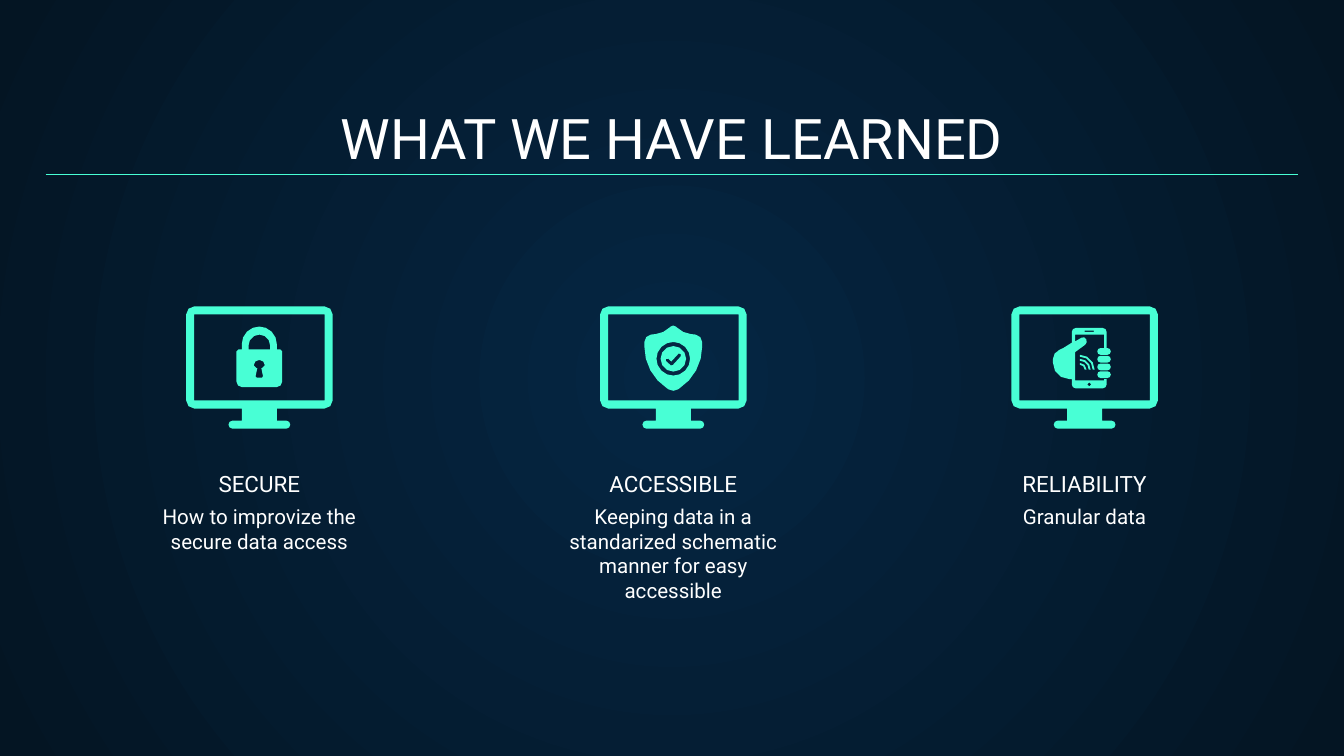
"""Build the slide that sums up three lessons on data, each under a monitor icon."""
import math
from dataclasses import dataclass

import lxml.etree
import pptx
import pptx.dml.color
import pptx.enum.shapes
import pptx.enum.text
import pptx.oxml.ns
import pptx.slide
import pptx.text.text
import pptx.util

Corner = tuple[float, float, float]
Point = tuple[float, float]
Contour = list[Corner]
Glyph = list[Contour]


@dataclass(frozen=True)
class Theme:
    font: str = "Roboto"
    accent: str = "48FFD5"
    text: str = "FFFFFF"
    glow: str = "052643"
    edge: str = "041523"
    title_size: float = 30
    heading_size: float = 12
    body_size: float = 11
    rule_width: float = 0.75


@dataclass(frozen=True)
class Grid:
    width: float = 10
    height: float = 10 * 9 / 16
    margin: float = 0.34
    centres: tuple[float, ...] = (1.93, 5.01, 8.07)
    icon_top: float = 2.28
    icon_unit: float = 0.01


@dataclass(frozen=True)
class Lesson:
    heading: str
    body: str
    emblem: list[Glyph]


THEME = Theme()
GRID = Grid()


def box(left: float, top: float, width: float, height: float, radius: float = 0) -> Contour:
    right, bottom = left + width, top + height
    return [(left, top, radius), (right, top, radius), (right, bottom, radius), (left, bottom, radius)]


def disc(x: float, y: float, radius: float) -> Contour:
    return box(x - radius, y - radius, 2 * radius, 2 * radius, radius)


def mirrored(right_half: Contour) -> Contour:
    return right_half + [(-x, y, radius) for x, y, radius in reversed(right_half) if x]


def quarter_ring(x: float, y: float, outer: float, inner: float) -> Contour:
    return [(x, y - outer, 0), (x + outer, y - outer, outer), (x + outer, y, 0),
            (x + inner, y, 0), (x + inner, y - inner, inner), (x, y - inner, 0)]


def rounded(contour: Contour) -> list[Point]:
    points: list[Point] = []
    for i, (x, y, radius) in enumerate(contour):
        if not radius:
            points.append((x, y))
            continue
        ends, angles = [], []
        for nx, ny, _ in (contour[i - 1], contour[(i + 1) % len(contour)]):
            angle = math.atan2(ny - y, nx - x)
            angles.append(angle)
            ends.append((x + radius * math.cos(angle), y + radius * math.sin(angle)))
        weight = abs(math.sin((angles[1] - angles[0]) / 2))
        steps = max(1, round(math.sqrt(radius)))
        for step in range(steps + 1):
            t = step / steps
            a, b, c = (1 - t) ** 2, 2 * t * (1 - t) * weight, t ** 2
            points.append(tuple((a * start + b * mid + c * end) / (a + b + c)
                                for start, mid, end in zip(ends[0], (x, y), ends[1])))
    return points


MONITOR: Glyph = [
    mirrored([(54.5, 0, 6), (54.5, 76, 6), (13, 76, 0), (13, 85, 0), (23, 85, 3), (23, 91, 3)]),
    box(-48.5, 6, 97, 64),
]
PADLOCK: Glyph = [
    mirrored([(13, 15, 13), (13, 32, 0), (17, 32, 1.5), (17, 60, 4)]),
    mirrored([(8, 21, 8), (8, 32, 0)]),
    mirrored([(4, 40, 3.5), (4, 46, 2), (1.5, 46, 0), (3, 53, 1)]),
]
TICK: Glyph = [
    disc(0, 39, 9.5),
    [(4.5, 34.5, 1), (6.2, 36.5, 1), (-1.2, 44.5, 1), (-6.2, 40, 1), (-4.5, 38.3, 1), (-1.5, 41, 0)],
]
SHIELD: Glyph = [
    mirrored([(0, 13, 3), (7, 20, 6), (21.5, 21.5, 5), (21.5, 50, 20), (0, 64, 4)]),
    disc(0, 39, 12.5),
]
PHONE_IN_HAND: Glyph = [
    [(16.5, 31, 0), (16.5, 16, 3), (-9.5, 16, 3), (-9.5, 27, 0), (-17.5, 32, 2),
     (-23.5, 34, 5), (-23.5, 54, 12), (-9.5, 54, 0), (-9.5, 61, 3), (16.5, 61, 3),
     (16.5, 54, 0), (14.5, 54, 0), (14.5, 55, 0), (-7, 55, 0), (-7, 34, 0),
     (2.5, 27, 2.5), (0, 22, 2.5), (-7, 26, 0), (-7, 21, 0), (14.5, 21, 0), (14.5, 31, 0)],
    box(0, 18, 7, 1),
    disc(3.5, 58, 1.5),
    *(box(9.5, 31 + 5.75 * finger, 10, 5, 2.4) for finger in range(4)),
    *(quarter_ring(-3.5, 47, outer, outer - 1.4) for outer in (5, 8, 11)),
]

LESSONS = [
    Lesson("SECURE", "How to improvize the secure data access", [PADLOCK]),
    Lesson("ACCESSIBLE", "Keeping data in a standarized schematic manner for easy accessible", [TICK, SHIELD]),
    Lesson("RELIABILITY", "Granular data", [PHONE_IN_HAND]),
]


def rgb(colour: str) -> pptx.dml.color.RGBColor:
    return pptx.dml.color.RGBColor.from_string(colour)


def write(frame: pptx.text.text.TextFrame, words: str, size: float,
          anchor: pptx.enum.text.MSO_ANCHOR) -> None:
    frame.word_wrap = True
    frame.auto_size = pptx.enum.text.MSO_AUTO_SIZE.NONE
    frame.vertical_anchor = anchor
    inset = pptx.util.Inches(0.1)
    frame.margin_left = frame.margin_right = frame.margin_top = frame.margin_bottom = inset
    paragraph = frame.paragraphs[0]
    paragraph.alignment = pptx.enum.text.PP_ALIGN.CENTER
    run = paragraph.add_run()
    run.text = words
    run.font.name = THEME.font
    run.font.size = pptx.util.Pt(size)
    run.font.color.rgb = rgb(THEME.text)


def add_label(slide: pptx.slide.Slide, centre: float, top: float, width: float, height: float,
              words: str, size: float, anchor: pptx.enum.text.MSO_ANCHOR) -> None:
    left = centre - width / 2
    label = slide.shapes.add_textbox(*map(pptx.util.Inches, (left, top, width, height)))
    write(label.text_frame, words, size, anchor)


def add_glyph(slide: pptx.slide.Slide, centre: float, glyph: Glyph) -> None:
    outlines = [[(pptx.util.Inches(centre + x * GRID.icon_unit),
                  pptx.util.Inches(GRID.icon_top + y * GRID.icon_unit)) for x, y in rounded(contour)]
                for contour in glyph]
    builder = slide.shapes.build_freeform(*outlines[0][0])
    for i, outline in enumerate(outlines):
        if i:
            builder.move_to(*outline[0])
        builder.add_line_segments(outline[1:], close=True)
    icon = builder.convert_to_shape()
    icon.shadow.inherit = False
    icon.fill.solid()
    icon.fill.fore_color.rgb = rgb(THEME.accent)
    icon.line.fill.background()


def paint_background(slide: pptx.slide.Slide) -> None:
    fill = slide.background.fill
    fill.gradient()
    for stop, colour in zip(fill.gradient_stops, (THEME.glow, THEME.edge)):
        stop.color.rgb = rgb(colour)
    gradient = slide.element.xpath(".//a:gradFill")[0]
    for linear in gradient.findall(pptx.oxml.ns.qn("a:lin")):
        gradient.remove(linear)
    circle = lxml.etree.SubElement(gradient, pptx.oxml.ns.qn("a:path"), {"path": "circle"})
    lxml.etree.SubElement(circle, pptx.oxml.ns.qn("a:fillToRect"),
                          dict.fromkeys("ltrb", "50000"))


def add_title(slide: pptx.slide.Slide, words: str) -> None:
    title = slide.shapes.title
    span = GRID.width - 2 * GRID.margin
    title.left, title.top, title.width, title.height = map(pptx.util.Inches, (GRID.margin, 0.71, span, 0.66))
    write(title.text_frame, words, THEME.title_size, pptx.enum.text.MSO_ANCHOR.BOTTOM)


def add_rule(slide: pptx.slide.Slide, y: float) -> None:
    ends = map(pptx.util.Inches, (GRID.margin, y, GRID.width - GRID.margin, y))
    rule = slide.shapes.add_connector(pptx.enum.shapes.MSO_CONNECTOR.STRAIGHT, *ends)
    rule.line.color.rgb = rgb(THEME.accent)
    rule.line.width = pptx.util.Pt(THEME.rule_width)
    lxml.etree.SubElement(rule.element.spPr, pptx.oxml.ns.qn("a:effectLst"))


def main() -> None:
    deck = pptx.Presentation()
    deck.slide_width, deck.slide_height = map(pptx.util.Inches, (GRID.width, GRID.height))
    slide = deck.slides.add_slide(deck.slide_layouts[5])
    paint_background(slide)
    add_title(slide, "WHAT WE HAVE LEARNED")
    for centre, lesson in zip(GRID.centres, LESSONS):
        add_label(slide, centre, 3.65, 2.05, 0.55, lesson.body, THEME.body_size, pptx.enum.text.MSO_ANCHOR.TOP)
        add_label(slide, centre, 3.59, 2.27, 0.21, lesson.heading, THEME.heading_size,
                  pptx.enum.text.MSO_ANCHOR.BOTTOM)
        for glyph in (MONITOR, *lesson.emblem):
            add_glyph(slide, centre, glyph)
    add_rule(slide, 1.3)
    deck.save("out.pptx")


if __name__ == "__main__":
    main()
